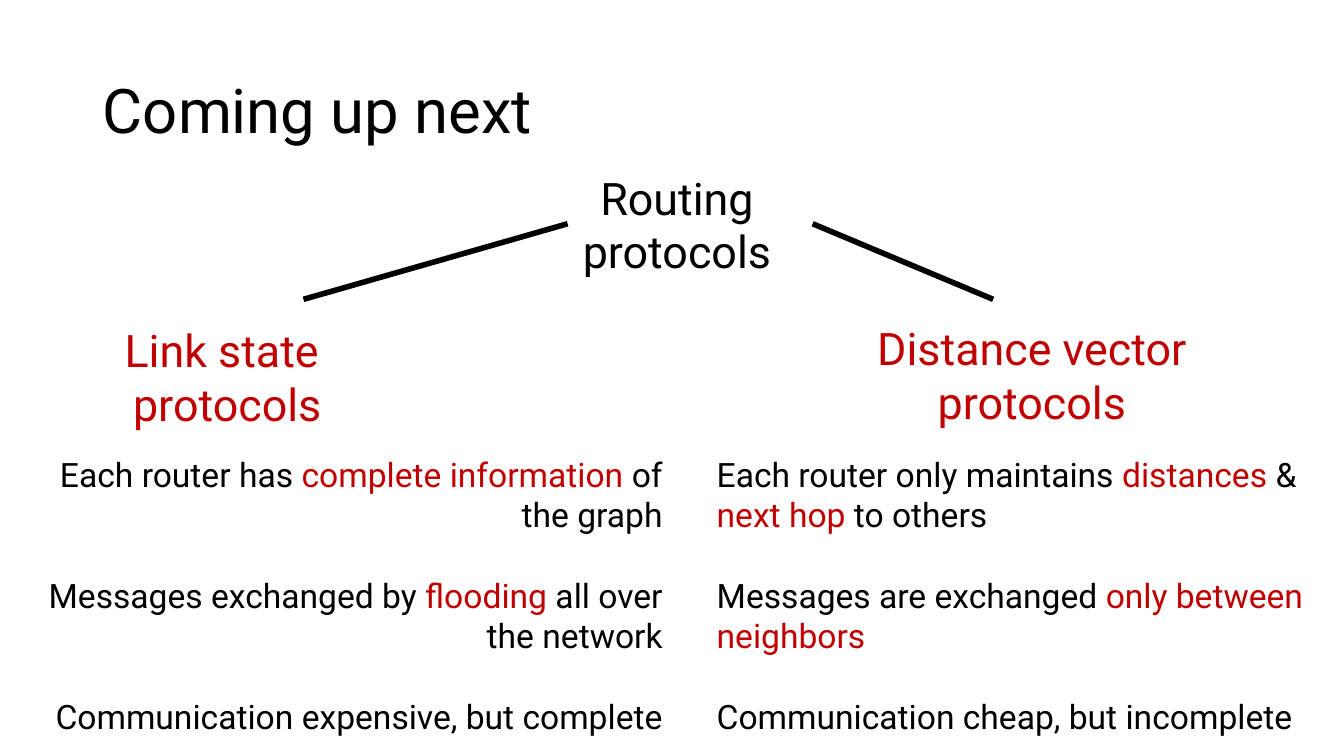
"""Build the slide that introduces the two families of routing protocols."""
from lxml import etree
from pptx import Presentation
from pptx.dml.color import RGBColor
from pptx.enum import shapes, text
from pptx.oxml import ns
from pptx.util import Inches, Pt

BLACK = RGBColor(0, 0, 0)
RED = RGBColor(0xC0, 0, 0)
LEFT, MID, RIGHT = text.PP_ALIGN.LEFT, text.PP_ALIGN.CENTER, text.PP_ALIGN.RIGHT


def write(frame, paras, size, align, **look):
    for i, runs in enumerate(paras):
        para = frame.paragraphs[0] if i == 0 else frame.add_paragraph()
        para.alignment = align
        for name, value in look.items():
            if i or name != "space_before":
                setattr(para, name, value)
        for words, color in runs:
            run = para.add_run()
            run.text = words
            run.font.name, run.font.size = "Roboto", Pt(size)
            run.font.color.rgb = color


deck = Presentation()
deck.slide_width, deck.slide_height = Inches(13.33), Inches(7.5)
slide = deck.slides.add_slide(deck.slide_layouts[5])

title = slide.shapes.title
place = {"left": 0.92, "top": 0.4, "width": 11.5, "height": 1.45}
for name, value in place.items():
    setattr(title, name, Inches(value))
title.text_frame.auto_size = text.MSO_AUTO_SIZE.NONE
title.text_frame.vertical_anchor = text.MSO_ANCHOR.MIDDLE
write(title.text_frame, [[("Coming up next", BLACK)]], 44, LEFT, line_spacing=0.9)

heads = [
    (4.96, 1.64, [[("Routing protocols", BLACK)]]),
    (0.5, 3.15, [[("Link state ", RED)], [("protocols", RED)]]),
    (8.48, 3.13, [[("Distance vector protocols", RED)]]),
]
link = [
    [("Each router has ", BLACK), ("complete information", RED), (" of the graph", BLACK)],
    [("Messages exchanged by ", BLACK), ("flooding", RED), (" all over the network", BLACK)],
    [("Communication expensive, but complete", BLACK)],
]
vector = [
    [("Each router only maintains ", BLACK), ("distances", RED), (" & ", BLACK),
     ("next hop ", RED), ("to others", BLACK)],
    [("Messages are exchanged ", BLACK), ("only between neighbors", RED)],
    [("Communication cheap, but incomplete", BLACK)],
]
boxes = [(x, y, 3.51, 1.18, paras, 32, MID, 0) for x, y, paras in heads]
boxes += [
    (0.29, 4.45, 6.38, 2.93, link, 24, RIGHT, 28.8),
    (7.01, 4.45, 6.04, 2.93, vector, 24, LEFT, 28.8),
]
for x, y, w, h, paras, size, align, gap in boxes:
    box = slide.shapes.add_textbox(Inches(x), Inches(y), Inches(w), Inches(h))
    box.text_frame.word_wrap = True
    box.text_frame.auto_size = text.MSO_AUTO_SIZE.SHAPE_TO_FIT_TEXT
    write(box.text_frame, paras, size, align, space_before=Pt(gap))

for start, end in [(5.63, 3.01), (8.06, 9.85)]:
    branch = slide.shapes.add_connector(
        shapes.MSO_CONNECTOR.STRAIGHT,
        Inches(start), Inches(2.22), Inches(end), Inches(2.97))
    branch.line.color.rgb = BLACK
    branch.line.width = Pt(4)
    etree.SubElement(branch._element.spPr, ns.qn("a:effectLst"))

deck.save("out.pptx")
